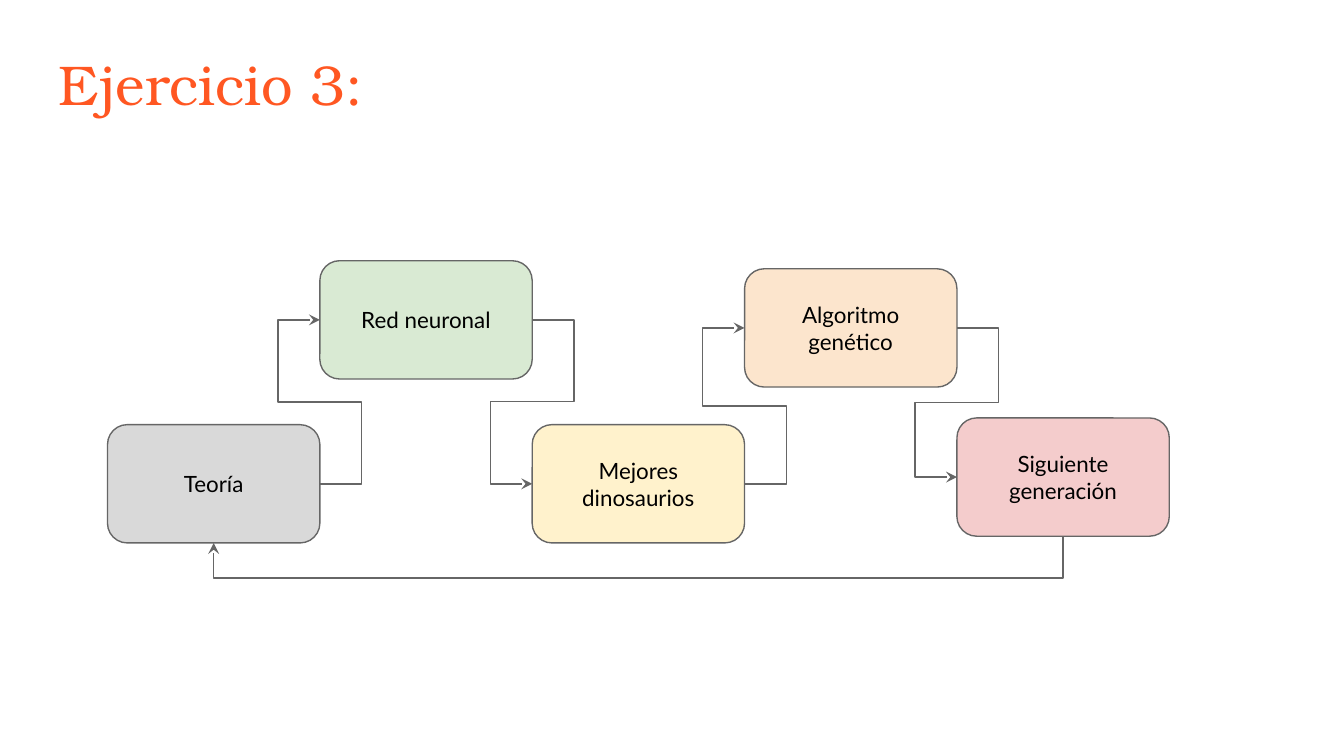
import pptx
import pptx.util
import pptx.dml.color
import pptx.enum.shapes
import pptx.enum.text
from pptx.oxml.ns import qn
from lxml import etree

Inches, Pt = pptx.util.Inches, pptx.util.Pt
SHAPES, ALIGN, ANCHOR = (pptx.enum.shapes.MSO_SHAPE, pptx.enum.text.PP_ALIGN,
                         pptx.enum.text.MSO_ANCHOR)

COLORS = {"title": "FF5722", "text": "000000", "line": "666666",
          "grey": "D9D9D9", "green": "D9EAD3", "yellow": "FFF2CC",
          "orange": "FCE5CD", "red": "F4CCCC"}
TITLE = "Ejercicio 3:"
STEPS = [  # text, fill, top
    ("Teoría", "grey", 3.16),
    ("Red neuronal", "green", 1.94),
    ("Mejores dinosaurios", "yellow", 3.16),
    ("Algoritmo genético", "orange", 2.0),
    ("Siguiente generación", "red", 3.11),
]
LEFT, BOX_W, BOX_H = 0.8, 1.58, 0.88
STUB = Inches(0.26)     # how far a connector runs out before it bends
THIN = 600              # EMU; a bend is a share of the width, so it cannot be 0
LEFT_SIDE, BOTTOM, RIGHT = 1, 2, 3


def rgb(name):
    return pptx.dml.color.RGBColor.from_string(COLORS[name])


def write(shape, text, size, font, color, align, anchor):
    tf = shape.text_frame
    tf.word_wrap = True
    tf.vertical_anchor = anchor
    tf.margin_left = tf.margin_right = tf.margin_top = tf.margin_bottom = Inches(0.1)
    p = tf.paragraphs[0]
    p.text, p.alignment = text, align
    p.font.size, p.font.name = Pt(size), font
    p.font.color.rgb = rgb(color)


def add_step(s, col, text, fill, top):
    sp = s.shapes.add_shape(SHAPES.ROUNDED_RECTANGLE, Inches(LEFT + col * BOX_W),
                            Inches(top), Inches(BOX_W), Inches(BOX_H))
    sp.shadow.inherit = False
    sp.fill.solid()
    sp.fill.fore_color.rgb = rgb(fill)
    sp.line.color.rgb = rgb("line")
    sp.line.width = Pt(0.75)
    write(sp, text, 12, "Lato", "text", ALIGN.CENTER, ANCHOR.MIDDLE)
    return sp


def link(s, start, start_site, end, end_site):
    c = s.shapes.add_connector(pptx.enum.shapes.MSO_CONNECTOR.ELBOW, 0, 0, 0, 0)
    c.begin_connect(start, start_site)
    c.end_connect(end, end_site)
    c.line.color.rgb = rgb("line")
    c.line.width = Pt(0.75)
    props = c._element.spPr
    etree.SubElement(props.find(qn("a:ln")), qn("a:tailEnd"), type="stealth")
    etree.SubElement(props, qn("a:effectLst"))
    return c


def turn(c, degrees, mirrored=False):
    """Replace the connector's flips by a rotation and, if asked, one mirroring."""
    xfrm = c._element.spPr.find(qn("a:xfrm"))
    for flip in ("flipH", "flipV"):
        xfrm.attrib.pop(flip, None)
    xfrm.set("rot", str(degrees * 60000))
    if mirrored:
        xfrm.set("flipH", "1")


def bend(c, preset, shares):
    """Set the connector's preset and where it turns, as shares of its width."""
    geom = c._element.spPr.find(qn("a:prstGeom"))
    geom.set("prst", preset)
    guides = geom.find(qn("a:avLst"))
    for i, share in enumerate(shares, 1):
        etree.SubElement(guides, qn("a:gd"), name=f"adj{i}",
                         fmla=f"val {round(share * 100000)}")


def add_s_link(s, start, end):
    c = link(s, start, RIGHT, end, LEFT_SIDE)
    c.width = THIN
    rising = end.top < start.top
    turn(c, 180 if rising else 0, mirrored=rising)
    bend(c, "bentConnector5", (STUB / THIN, 0.5, -STUB / THIN))


def add_return_link(s, start, end):
    """Run under all steps: a connector turned by 90 degrees about its centre."""
    c = link(s, start, BOTTOM, end, BOTTOM)
    x1, x2 = (b.left + b.width // 2 for b in (end, start))
    y1, y2 = (b.top + b.height for b in (start, end))
    span, drop = x2 - x1, y2 - y1
    c.left, c.top = (x1 + x2 - drop) // 2, (y1 + y2 - span) // 2
    c.width, c.height = drop, span
    turn(c, 90)
    bend(c, "bentConnector3", ((drop + STUB) / drop,))


prs = pptx.Presentation()
prs.slide_width = Inches(10)
prs.slide_height = prs.slide_width * 9 // 16
s = prs.slides.add_slide(prs.slide_layouts[6])

steps = [add_step(s, col, *step) for col, step in enumerate(STEPS)]
for start, end in zip(steps, steps[1:]):
    add_s_link(s, start, end)
add_return_link(s, steps[-1], steps[0])

title = s.shapes.add_textbox(Inches(0.34), Inches(0.27), Inches(3.07), Inches(0.83))
write(title, TITLE, 30, "TeX Gyre Bonum", "title", ALIGN.LEFT, ANCHOR.TOP)

prs.save("out.pptx")
